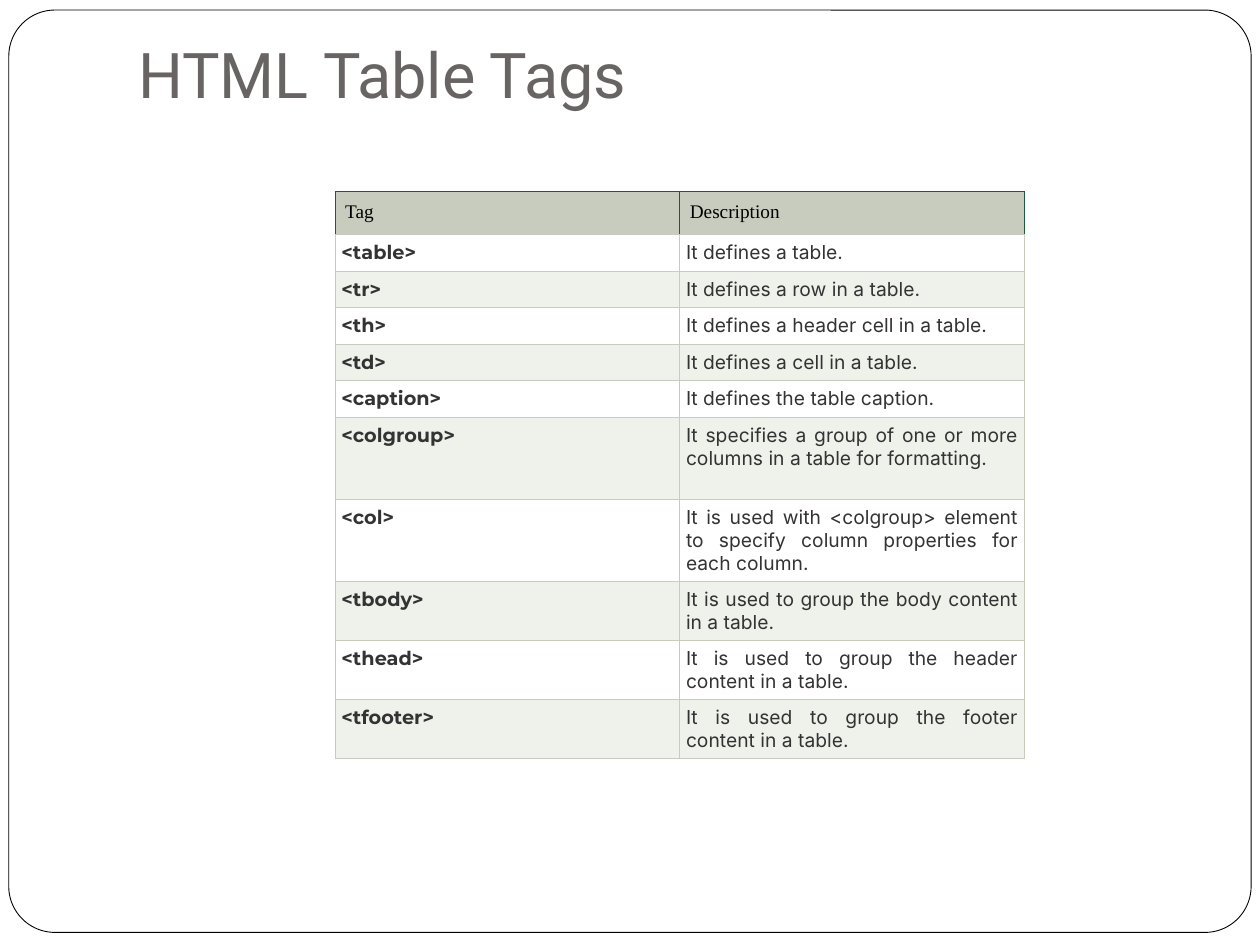
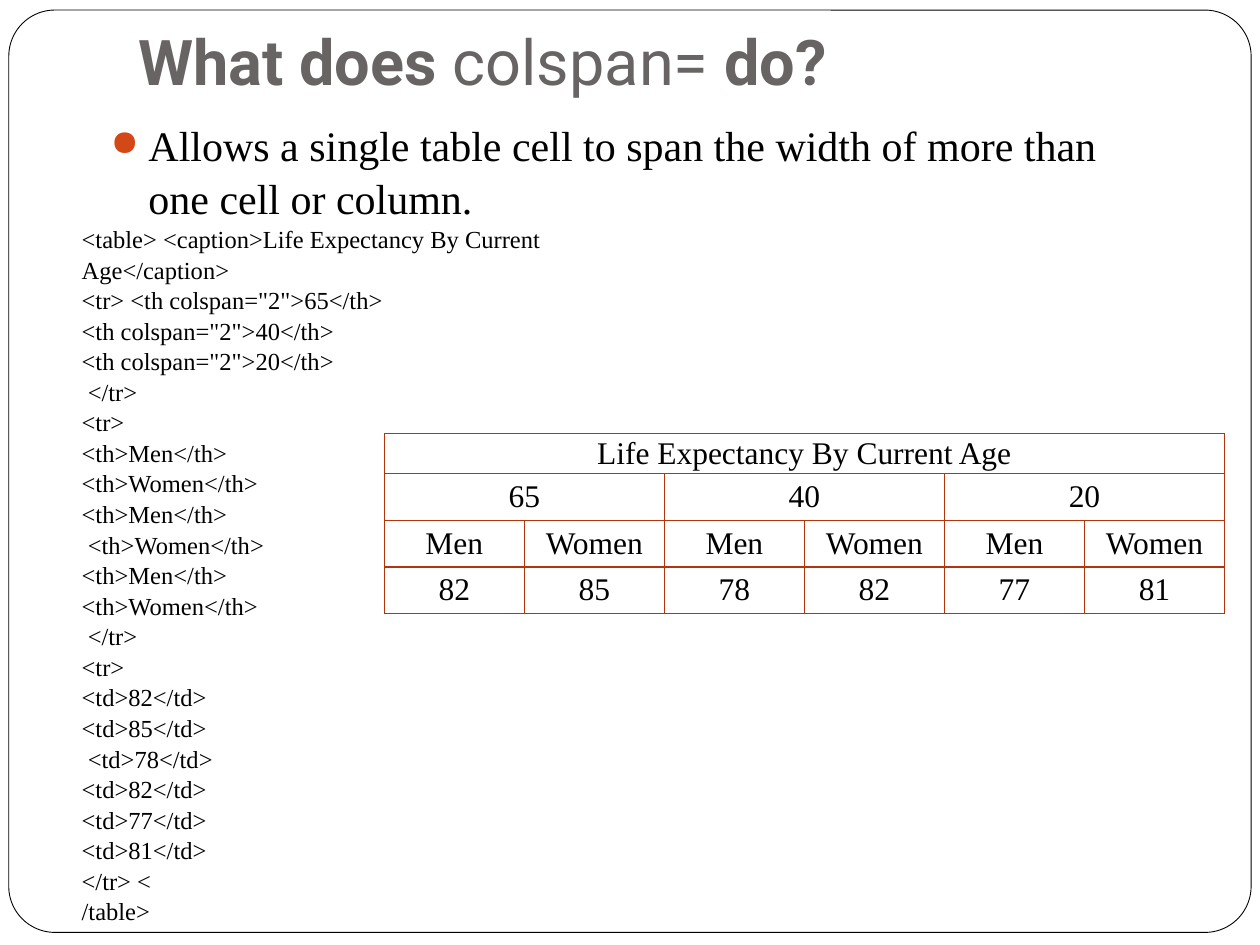
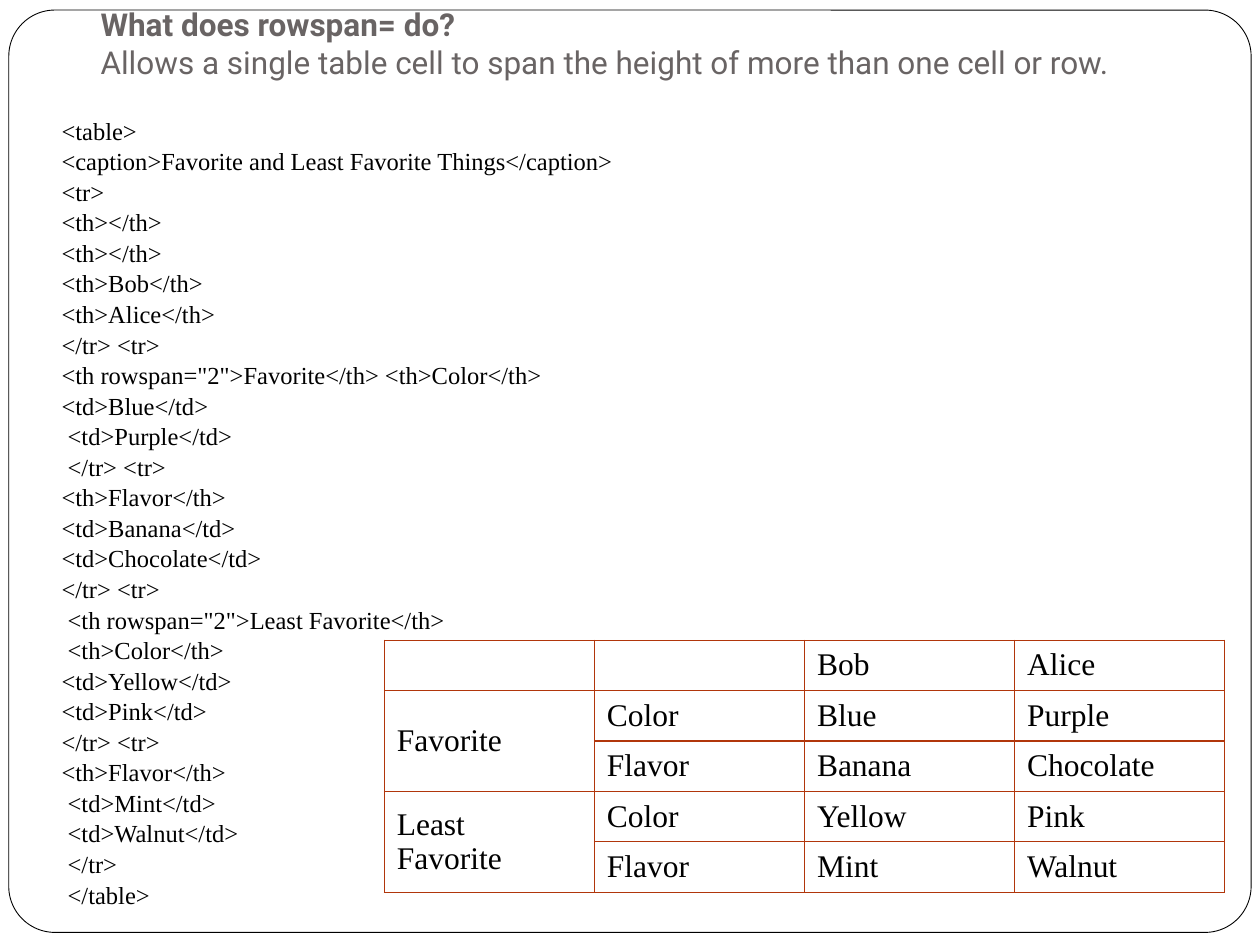
"""Build three slides on HTML table tags, colspan and rowspan."""
from lxml import etree
from pptx import Presentation, util as u
from pptx.dml.color import RGBColor
from pptx.enum import shapes, text
from pptx.oxml.ns import qn

BLACK = RGBColor(0x00, 0x00, 0x00)
WHITE = RGBColor(0xFF, 0xFF, 0xFF)
TITLE_GRAY = RGBColor(0x69, 0x64, 0x64)
TEXT_GRAY = RGBColor(0x33, 0x33, 0x33)
SAGE = RGBColor(0xC7, 0xCC, 0xBE)
PALE_SAGE = RGBColor(0xEF, 0xF1, 0xEB)
DARK_GREEN = RGBColor(0x20, 0x58, 0x44)
RUST = RGBColor(0xB1, 0x36, 0x0B)
ORANGE = RGBColor(0xD3, 0x48, 0x17)
SERIF = "Times New Roman"

TAGS = [
    ("Tag", "Description"),
    ("<table>", "It defines a table."),
    ("<tr>", "It defines a row in a table."),
    ("<th>", "It defines a header cell in a table."),
    ("<td>", "It defines a cell in a table."),
    ("<caption>", "It defines the table caption."),
    ("<colgroup>", "It specifies a group of one or more columns in a table for formatting."),
    ("<col>", "It is used with <colgroup> element to specify column properties for each column."),
    ("<tbody>", "It is used to group the body content in a table."),
    ("<thead>", "It is used to group the header content in a table."),
    ("<tfooter>", "It is used to group the footer content in a table."),
]
TAG_HEIGHTS = [0.33] + [0.29] * 5 + [0.65] * 2 + [0.47] * 3

COLSPAN_TEXT = "Allows a single table cell to span the width of more than one cell or column."
COLSPAN_CODE = """<table> <caption>Life Expectancy By Current Age</caption>
<tr> <th colspan="2">65</th>
<th colspan="2">40</th>
<th colspan="2">20</th>
 </tr>
<tr>
<th>Men</th>
<th>Women</th>
<th>Men</th>
 <th>Women</th>
<th>Men</th>
<th>Women</th>
 </tr>
<tr>
<td>82</td>
<td>85</td>
 <td>78</td>
<td>82</td>
<td>77</td>
<td>81</td>
</tr> <
/table>"""
LIFE = [
    ("Life Expectancy By Current Age", "", "", "", "", ""),
    ("65", "", "40", "", "20", ""),
    ("Men", "Women") * 3,
    ("82", "85", "78", "82", "77", "81"),
]
LIFE_MERGES = [(0, 0, 0, 5)] + [(1, c, 1, c + 1) for c in (0, 2, 4)]

ROWSPAN_CODE = """<table>
<caption>Favorite and Least Favorite Things</caption>
<tr>
<th></th>
<th></th>
<th>Bob</th>
<th>Alice</th>
</tr> <tr>
<th rowspan="2">Favorite</th> <th>Color</th>
<td>Blue</td>
 <td>Purple</td>
 </tr> <tr>
<th>Flavor</th>
<td>Banana</td>
<td>Chocolate</td>
</tr> <tr>
 <th rowspan="2">Least Favorite</th>
 <th>Color</th>
<td>Yellow</td>
<td>Pink</td>
</tr> <tr>
<th>Flavor</th>
 <td>Mint</td>
 <td>Walnut</td>
 </tr>
 </table>"""
FAVORITES = [
    ("", "", "Bob", "Alice"),
    ("Favorite", "Color", "Blue", "Purple"),
    ("", "Flavor", "Banana", "Chocolate"),
    ("Least\vFavorite", "Color", "Yellow", "Pink"),
    ("", "Flavor", "Mint", "Walnut"),
]
FAVORITE_MERGES = [(1, 0, 2, 0), (3, 0, 4, 0)]


def style(font, name, size, color, bold=False):
    font.name, font.size, font.bold = name, u.Pt(size), bold
    font.color.rgb = color


def add_box(s, left, top, width, height):
    tf = s.shapes.add_textbox(*map(u.Inches, (left, top, width, height))).text_frame
    tf.word_wrap = True
    return tf


def add_slide(prs):
    s = prs.slides.add_slide(prs.slide_layouts[6])
    sp = s.shapes.add_shape(shapes.MSO_SHAPE.ROUNDED_RECTANGLE,
                            *map(u.Inches, (0.07, 0.08, 9.86, 7.32)))
    sp.adjustments[0] = 0.05
    sp.shadow.inherit = False
    sp.fill.solid()
    sp.fill.fore_color.rgb = WHITE
    sp.line.color.rgb = BLACK
    sp.line.width = u.Pt(0.5)
    return s


def add_title(s, left, top, height, size, lines):
    tf = add_box(s, left, top, 8.5, height)
    tf.margin_top = 0
    for i, line in enumerate(lines):
        p = tf.add_paragraph() if i else tf.paragraphs[0]
        for words, bold in line:
            r = p.add_run()
            r.text = words
            style(r.font, "Roboto", size, TITLE_GRAY, bold)


def add_bullet(s, left, top, width, height, words):
    p = add_box(s, left, top, width, height).paragraphs[0]
    p.text = words
    pPr = p._p.get_or_add_pPr()
    pPr.set("marL", str(u.Inches(0.3)))
    pPr.set("indent", str(-u.Inches(0.3)))
    color = etree.SubElement(pPr, qn("a:buClr"))
    etree.SubElement(color, qn("a:srgbClr"), val=str(ORANGE))
    etree.SubElement(pPr, qn("a:buSzPct"), val="85000")
    etree.SubElement(pPr, qn("a:buChar"), char="●")
    p.line_spacing = 1.05
    style(p.runs[0].font, SERIF, 24, BLACK)


def add_code(s, left, top, height, code):
    tf = add_box(s, left, top, 5, height)
    tf.text = code
    for p in tf.paragraphs:
        p.line_spacing = 1.045
        style(p.runs[0].font, SERIF, 14, BLACK)


def set_borders(cell, **colors):
    tcPr = cell._tc.get_or_add_tcPr()
    for side in "LRTB":
        ln = etree.SubElement(tcPr, qn("a:ln" + side), w=str(u.Pt(0.75)))
        fill = etree.SubElement(ln, qn("a:solidFill"))
        etree.SubElement(fill, qn("a:srgbClr"), val=str(colors[side]))


def add_table(s, left, top, width, heights, rows, merges, format_cell):
    n = len(rows[0])
    table = s.shapes.add_table(len(rows), n, *map(u.Inches, (left, top, width, sum(heights)))).table
    table.first_row = table.horz_banding = False
    for col in table.columns:
        col.width = u.Inches(width / n)
    for i, (row, height) in enumerate(zip(rows, heights)):
        table.rows[i].height = u.Inches(height)
        for j, words in enumerate(row):
            cell = table.cell(i, j)
            cell.text = words
            format_cell(cell, i, j)
    for r1, c1, r2, c2 in merges:
        table.cell(r1, c1).merge(table.cell(r2, c2))


def set_margins(cell, x, y):
    cell.margin_left = cell.margin_right = u.Inches(x)
    cell.margin_top = cell.margin_bottom = u.Inches(y)


def format_tag(cell, i, j):
    p = cell.text_frame.paragraphs[0]
    edge = SAGE if i else DARK_GREEN
    set_borders(cell, L=edge, R=edge, T=SAGE if i else DARK_GREEN, B=SAGE)
    cell.fill.solid()
    if i == 0:
        cell.fill.fore_color.rgb = SAGE
        set_margins(cell, 0.08, 0.08)
        style(p.runs[0].font, SERIF, 11, BLACK)
        return
    cell.fill.fore_color.rgb = WHITE if i % 2 else PALE_SAGE
    set_margins(cell, 0.05, 0.05)
    p.alignment = text.PP_ALIGN.JUSTIFY
    style(p.runs[0].font, "Inter" if j else "Montserrat", 11, TEXT_GRAY, j == 0)


def format_plain(cell, i, j):
    set_borders(cell, **dict.fromkeys("LRTB", RUST))
    cell.fill.background()
    cell.vertical_anchor = text.MSO_ANCHOR.MIDDLE
    for r in cell.text_frame.paragraphs[0].runs:
        style(r.font, SERIF, 18, BLACK)


def format_life(cell, i, j):
    format_plain(cell, i, j)
    set_margins(cell, 0.03, 0.03 if i else 0.01)
    cell.text_frame.paragraphs[0].alignment = text.PP_ALIGN.CENTER


def main():
    prs = Presentation()
    prs.slide_width, prs.slide_height = u.Inches(10), u.Inches(7.5)

    s = add_slide(prs)
    add_title(s, 1, 0.28, 1.25, 36, [[("HTML Table Tags", False)]])
    add_table(s, 2.66, 1.52, 5.47, TAG_HEIGHTS, TAGS, [], format_tag)

    s = add_slide(prs)
    add_title(s, 1, 0.18, 0.68, 36,
              [[("What does ", True), ("colspan=", False), (" do?", True)]])
    add_bullet(s, 0.78, 0.88, 8.5, 1.46, COLSPAN_TEXT)
    add_code(s, 0.55, 1.72, 5.5, COLSPAN_CODE)
    add_table(s, 3.05, 3.44, 6.67, [0.32] + [0.37] * 3, LIFE, LIFE_MERGES, format_life)

    s = add_slide(prs)
    add_title(s, 0.7, 0.04, 0.7, 18, [
        [("What does rowspan= do?", True)],
        [("Allows a single table cell to span the height of more than one cell or row.", False)],
    ])
    add_code(s, 0.39, 0.86, 6.2, ROWSPAN_CODE)
    add_table(s, 3.05, 5.08, 6.67, [0.4] * 5, FAVORITES, FAVORITE_MERGES, format_plain)

    prs.save("out.pptx")


if __name__ == "__main__":
    main()
